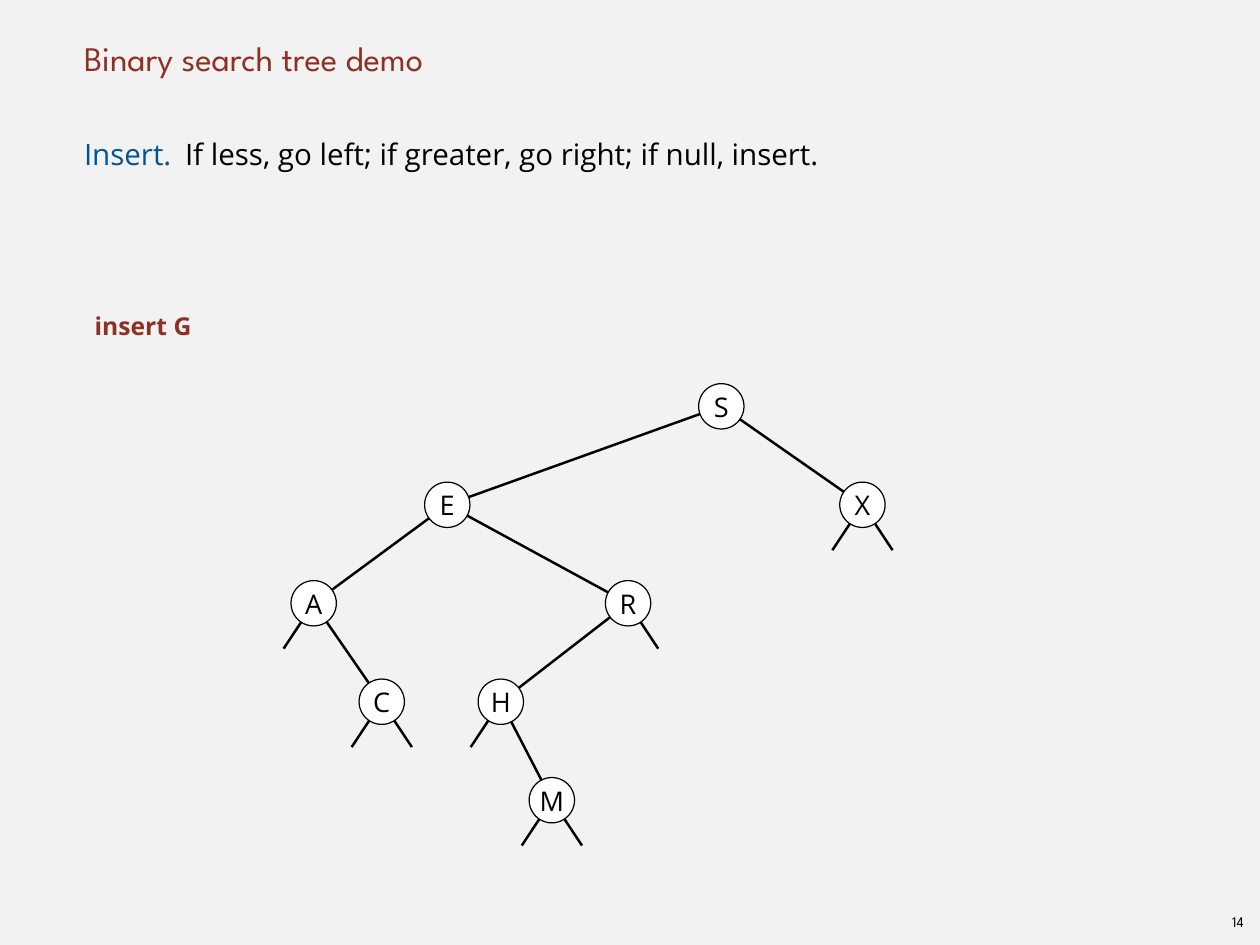
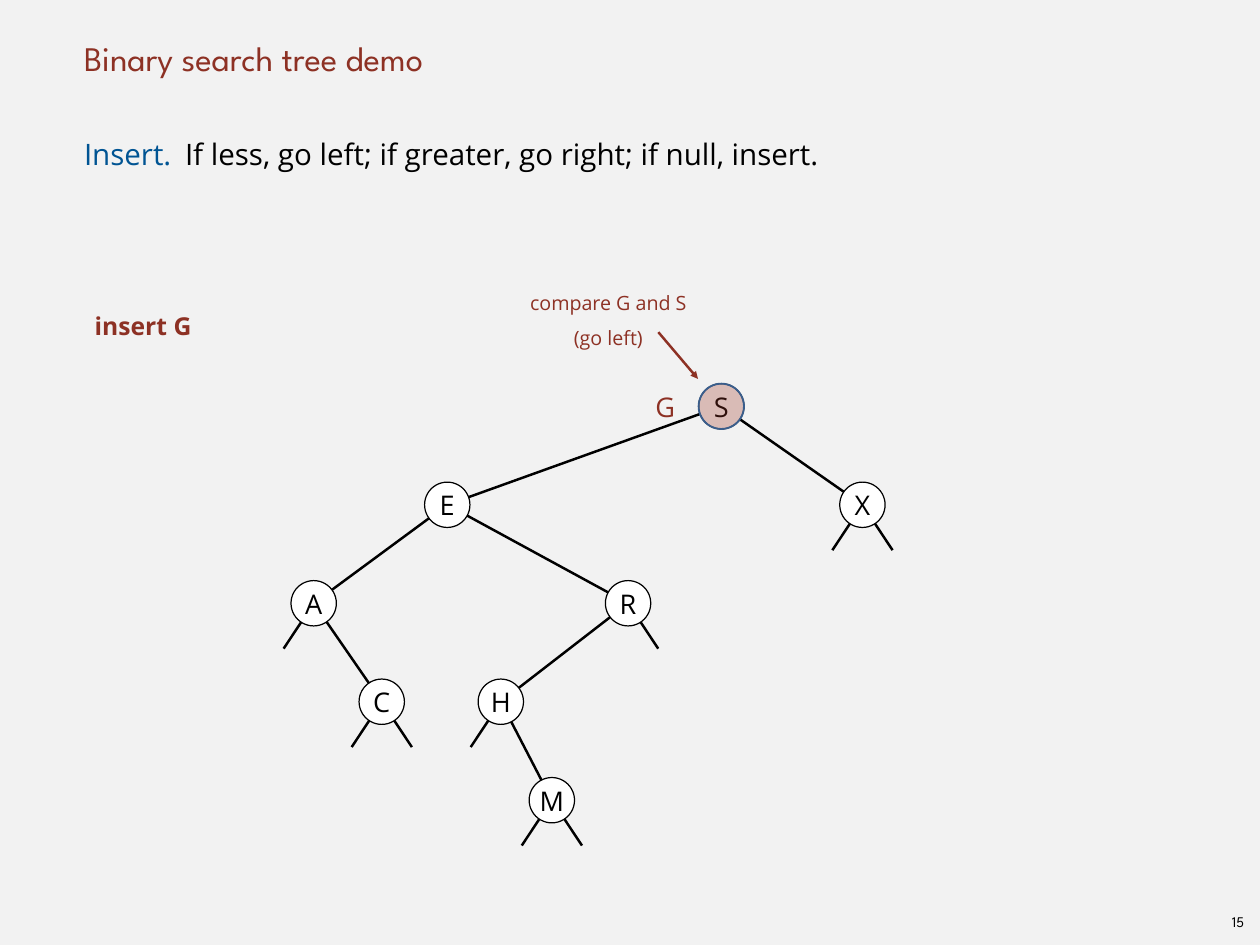
from dataclasses import dataclass
from typing import Any

from lxml.etree import SubElement as Sub
from pptx import Presentation
from pptx.dml.color import RGBColor as Rgb
from pptx.enum.shapes import MSO_CONNECTOR as Link, MSO_SHAPE as Form
from pptx.enum.text import MSO_ANCHOR as Anchor, MSO_AUTO_SIZE as Auto, PP_ALIGN as Align
from pptx.oxml.ns import qn
from pptx.util import Inches, Pt

WIDE, HIGH = 14.22, 10.67
HUES = {
    "back": "F2F2F2",
    "ink": "000000",
    "node": "FFFFFF",
    "red": "8D3124",
    "blue": "005493",
    "ring": "3A5E8C",
}
HEAD, BODY = "League Spartan", "Open Sans"
TOP, STEP, DISC = 43, 10.42, 3.6
STUB = (2.39, 4.8)


@dataclass(frozen=True)
class Box:
    left: float
    top: float
    wide: float
    high: float

    def spans(self) -> tuple[int, int, int, int]:
        return across(self.left), down(self.top), across(self.wide), down(self.high)


@dataclass(frozen=True)
class Run:
    text: str
    size: float
    hue: str = "ink"
    font: str = BODY
    bold: bool = False


@dataclass(frozen=True)
class Node:
    key: str
    col: float
    row: int
    kids: str = "--"

    @property
    def mid(self) -> tuple[float, float]:
        return self.col, TOP + self.row * STEP


NODES = [
    Node("S", 57.25, 0, "EX"),
    Node("E", 35.5, 1, "AR"),
    Node("X", 68.45, 1),
    Node("A", 24.9, 2, "-C"),
    Node("R", 49.85, 2, "H-"),
    Node("C", 30.3, 3),
    Node("H", 39.75, 3, "-M"),
    Node("M", 43.8, 4),
]
TREE = {node.key: node for node in NODES}


def across(share: float) -> int:
    return Inches(WIDE * share / 100)


def down(share: float) -> int:
    return Inches(HIGH * share / 100)


def tint(hue: str) -> Rgb:
    return Rgb.from_string(HUES[hue])


def add_run(para: Any, run: Run) -> None:
    part = para.add_run()
    part.text = run.text
    part.font.name = run.font
    part.font.size = Pt(run.size)
    part.font.bold = run.bold
    part.font.color.rgb = tint(run.hue)


def fill_text(shape: Any, lines: list[list[Run]], align: Any = Align.LEFT,
              anchor: Any = Anchor.TOP, wrap: bool = False, inset: float = 0.06,
              lead: Any = None, tab: float = 0) -> None:
    frame = shape.text_frame
    frame.auto_size = Auto.NONE
    frame.word_wrap = wrap
    frame.vertical_anchor = anchor
    frame.margin_left = Inches(inset)
    frame.margin_right = frame.margin_top = frame.margin_bottom = 0
    for i, line in enumerate(lines):
        para = frame.add_paragraph() if i else frame.paragraphs[0]
        if tab:
            stops = Sub(para._p.get_or_add_pPr(), qn("a:tabLst"))
            Sub(stops, qn("a:tab"), pos=str(Inches(tab)), algn="l")
        para.alignment = align
        if lead:
            para.line_spacing = lead
        for run in line:
            add_run(para, run)


def add_text(slide: Any, box: Box, lines: list[list[Run]], **style: Any) -> None:
    fill_text(slide.shapes.add_textbox(*box.spans()), lines, **style)


def add_line(shapes: Any, start: tuple[float, float], end: tuple[float, float],
             hue: str = "ink", arrow: bool = False) -> None:
    line = shapes.add_connector(Link.STRAIGHT, across(start[0]), down(start[1]),
                                across(end[0]), down(end[1]))
    line.line.color.rgb = tint(hue)
    line.line.width = Pt(2)
    if arrow:
        Sub(line.line._get_or_add_ln(), qn("a:tailEnd"), type="triangle")
    Sub(line._element.spPr, qn("a:effectLst"))


def disc_box(node: Node) -> Box:
    x, y = node.mid
    high = DISC * WIDE / HIGH
    return Box(x - DISC / 2, y - high / 2, DISC, high)


def add_disc(shapes: Any, node: Node, fill: str, edge: str, width: float) -> Any:
    disc = shapes.add_shape(Form.OVAL, *disc_box(node).spans())
    disc.shadow.inherit = False
    disc.fill.solid()
    disc.fill.fore_color.rgb = tint(fill)
    disc.line.color.rgb = tint(edge)
    disc.line.width = Pt(width)
    return disc


def add_tree(slide: Any) -> None:
    shapes = slide.shapes.add_group_shape().shapes
    for node in NODES:
        x, y = node.mid
        for side, kid in zip((-1, 1), node.kids):
            stub = (x + side * STUB[0], y + STUB[1])
            add_line(shapes, node.mid, TREE[kid].mid if kid in TREE else stub)
    for node in NODES:
        disc = add_disc(shapes, node, "node", "ink", 1)
        fill_text(disc, [[Run(node.key, 22)]], Align.CENTER, Anchor.MIDDLE, inset=0)


def mark_root(slide: Any) -> None:
    root = TREE["S"]
    note = [[Run(text, 16, "red")] for text in ("compare G and S", "(go left)")]
    add_text(slide, Box(40.72, 29.5, 14.7, 6.95), note, align=Align.CENTER, lead=1.5)
    add_line(slide.shapes, (52.25, 35.15), (55.4, 40.1), "red", True)
    spot = disc_box(root)
    add_text(slide, Box(51, spot.top, DISC, spot.high), [[Run("G", 22, "red")]],
             align=Align.CENTER, anchor=Anchor.MIDDLE, inset=0)
    disc = add_disc(slide.shapes, root, "red", "ring", 1.5)
    shade = disc._element.spPr.find(qn("a:solidFill"))
    Sub(shade[0], qn("a:alpha"), val="33000")


def add_page(deck: Any, num: int) -> Any:
    slide = deck.slides.add_slide(deck.slide_layouts[5])
    title = slide.shapes.title
    title.left, title.top, title.width, title.height = Box(6.25, 0, 87.5, 8.33).spans()
    fill_text(title, [[Run("Binary search tree demo", 28, "red", HEAD)]],
              anchor=Anchor.BOTTOM, wrap=True)
    rule = [Run("Insert.", 24, "blue"),
            Run("\tIf less, go left; if greater, go right; if null, insert.", 24)]
    add_text(slide, Box(6.25, 13.02, 87.5, 83.33), [rule],
             wrap=True, lead=Pt(39), tab=1.14)
    add_text(slide, Box(97.05, 96.06, 2.4, 3), [[Run(str(num), 12, font=HEAD)]],
             align=Align.CENTER, anchor=Anchor.MIDDLE, inset=0)
    add_text(slide, Box(7.1, 32.9, 9.28, 4.03), [[Run("insert G", 20, "red", bold=True)]])
    add_tree(slide)
    return slide


def main() -> None:
    deck = Presentation()
    deck.slide_width, deck.slide_height = Inches(WIDE), Inches(HIGH)
    back = deck.slide_master.background.fill
    back.solid()
    back.fore_color.rgb = tint("back")
    add_page(deck, 14)
    mark_root(add_page(deck, 15))
    deck.save("out.pptx")


if __name__ == "__main__":
    main()
